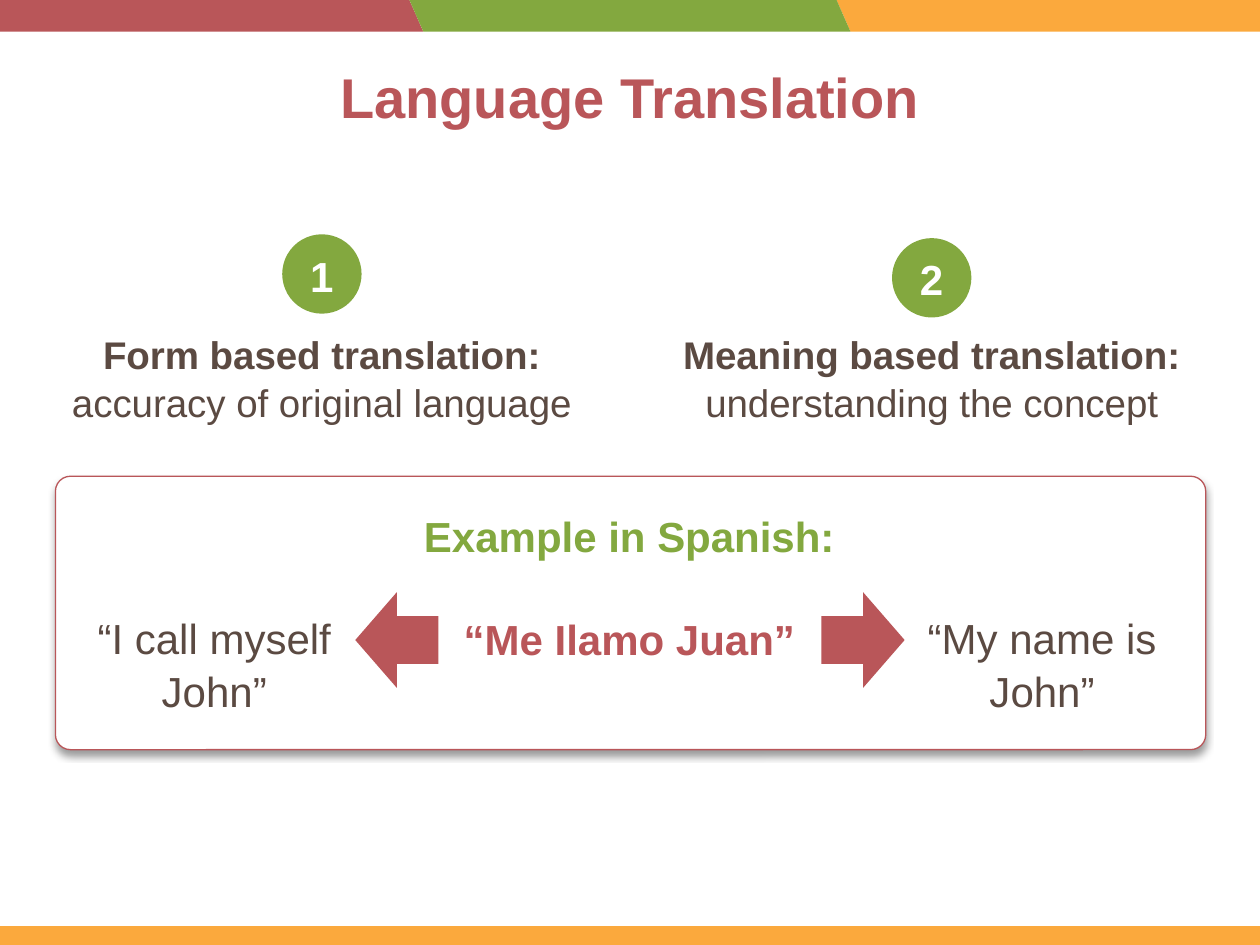
from lxml import etree
from pptx import Presentation, util as u
from pptx.dml.color import RGBColor
from pptx.enum import shapes, text
from pptx.oxml.ns import nsdecls

RED = RGBColor(0xB9, 0x56, 0x59)
GREEN = RGBColor(0x83, 0xA8, 0x3F)
ORANGE = RGBColor(0xFB, 0xA9, 0x3D)
BROWN = RGBColor(0x5B, 0x4A, 0x42)
WHITE = RGBColor(0xFF, 0xFF, 0xFF)
FONT = "Arial"
WIDTH, HEIGHT = 10, 7.5

# Content
TITLE = "Language Translation"
APPROACHES = [  # number, circle top, left, width, name, explanation
    ("1", 1.86, 0.44, 4.23, "Form based translation:", "accuracy of original language"),
    ("2", 1.89, 5.22, 4.35, "Meaning based translation:", "understanding the concept"),
]
EXAMPLE = [("Example in Spanish:", GREEN), ("“Me Ilamo Juan”", RED)]
RESULTS = [(0.54, "“I call myself John”"), (7.11, "“My name is John”")]
RIBBON = [(6.64, ORANGE), (-0.14, RED), (3.25, GREEN)]
ARROWS = [(2.82, shapes.MSO_SHAPE.LEFT_ARROW), (6.52, shapes.MSO_SHAPE.RIGHT_ARROW)]

deck = Presentation()
deck.slide_width, deck.slide_height = u.Inches(WIDTH), u.Inches(HEIGHT)
page = deck.slides.add_slide(deck.slide_layouts[6])


def add_block(kind, left, top, width, height, fill):
    block = page.shapes.add_shape(kind, *map(u.Inches, (left, top, width, height)))
    block.shadow.inherit = False
    block.fill.solid()
    block.fill.fore_color.rgb = fill
    block.line.fill.background()
    return block


def write(shape, lines, size, anchor=text.MSO_ANCHOR.TOP, gap=0, wrap=True):
    """Each line is (wording, colour, bold) and becomes a centred paragraph."""
    frame = shape.text_frame
    frame.word_wrap = wrap
    frame.vertical_anchor = anchor
    for index, (wording, colour, bold) in enumerate(lines):
        para = frame.add_paragraph() if index else frame.paragraphs[0]
        para.alignment = text.PP_ALIGN.CENTER
        para.line_spacing = 1.05
        para.space_before = u.Pt(gap if index else 0)
        span = para.add_run()
        span.text = wording
        span.font.name, span.font.size, span.font.bold = FONT, u.Pt(size), bold
        span.font.color.rgb = colour


def add_text(left, top, width, height, lines, size, **options):
    box = page.shapes.add_textbox(*map(u.Inches, (left, top, width, height)))
    write(box, lines, size, **options)


# Ribbon at the top and bar at the bottom
for left, colour in RIBBON:
    band = add_block(shapes.MSO_SHAPE.PARALLELOGRAM, left, 0, 3.5, 0.25, colour)
    band.adjustments[0] = 0.44
    band._element.spPr.xfrm.set("flipH", "1")
add_block(shapes.MSO_SHAPE.RECTANGLE, 0, HEIGHT - 0.15, WIDTH, 0.15, ORANGE)

# Example panel with a soft shadow
panel = add_block(shapes.MSO_SHAPE.ROUNDED_RECTANGLE, 0.44, 3.78, 9.13, 2.17, WHITE)
panel.adjustments[0] = 0.055
panel.line.color.rgb = RED
panel.line.width = u.Pt(0.75)
effects = panel._element.spPr.find("{*}effectLst")
effects.append(etree.fromstring(
    f'<a:outerShdw {nsdecls("a")} blurRad="{u.Pt(4)}" dist="{u.Pt(3)}" dir="5400000" '
    'rotWithShape="0"><a:srgbClr val="000000"><a:alpha val="40000"/></a:srgbClr></a:outerShdw>'))

# Title
add_text(0.69, 0.42, 8.62, 1.45, [(TITLE, RED, True)], 32)

# Two approaches, each under a numbered circle
CIRCLE = 0.63
for number, top, left, width, name, explanation in APPROACHES:
    circle = add_block(shapes.MSO_SHAPE.OVAL, left + (width - CIRCLE) / 2, top,
                       CIRCLE, CIRCLE, GREEN)
    write(circle, [(number, WHITE, True)], 24, anchor=text.MSO_ANCHOR.MIDDLE)
    add_text(left, 2.57, width, 0.84, [(name, BROWN, True), (explanation, BROWN, False)],
             22, anchor=text.MSO_ANCHOR.MIDDLE)

# Spanish phrase, with an arrow to each translation
add_text(3.25, 3.98, 3.49, 1.31, [(wording, colour, True) for wording, colour in EXAMPLE],
         24, gap=29, wrap=False)
for left, kind in ARROWS:
    add_block(kind, left, 4.7, 0.66, 0.76, RED)
for left, wording in RESULTS:
    add_text(left, 4.79, 2.32, 0.91, [(wording, BROWN, False)], 24)

deck.save("out.pptx")
